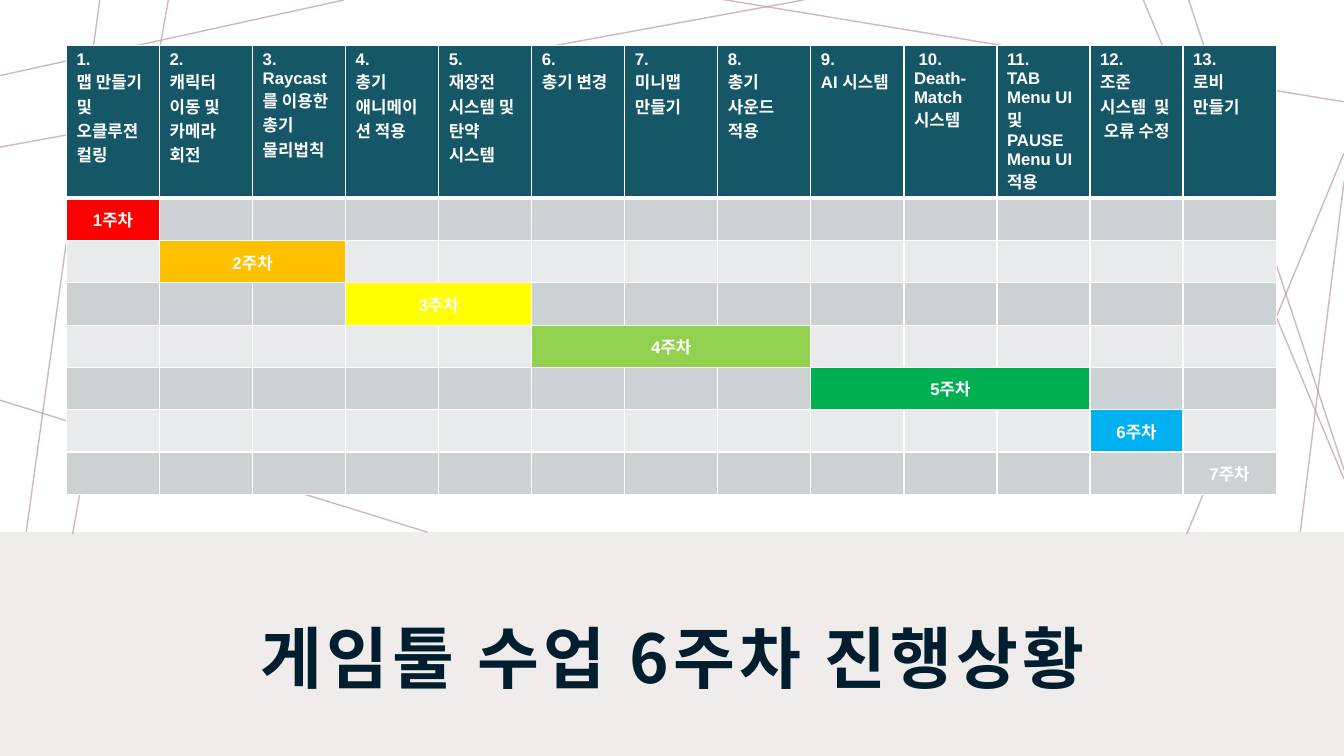
from lxml import etree
from pptx import Presentation
from pptx.dml.color import RGBColor
from pptx.enum import shapes, text
from pptx.oxml import ns
from pptx.util import Inches, Pt

COLORS = {
    "line": "BA9CA0", "band": "F0ECEC", "title": "001E2E", "white": "FFFFFF",
    "header": "155767", "odd": "CCD1D3", "even": "E8EAEB",
    "red": "FF0000", "orange": "FFC000", "yellow": "FFFF00", "lime": "92D050",
    "green": "00B050", "blue": "00B0F0",
}
LATIN_FONT = "Arial"
KOREAN_FONT = "Noto Sans CJK KR"
TITLE = "게임툴 수업 6주차 진행상황"

TASKS = [
    ["1.", "맵 만들기 및 오클루젼 컬링"],
    ["2.", "캐릭터 이동 및 카메라 회전"],
    ["3.", "Raycast를 이용한 총기 물리법칙"],
    ["4.", "총기 애니메이션 적용"],
    ["5.", "재장전 시스템 및 탄약 시스템"],
    ["6.", "총기 변경"],
    ["7.", "미니맵 만들기"],
    ["8.", "총기 사운드 적용"],
    ["9.", "AI 시스템"],
    [" 10. Death-Match 시스템"],
    ["11.", "TAB Menu UI  및  PAUSE Menu UI 적용"],
    ["12.", "조준 시스템  및  오류 수정"],
    ["13.", "로비 만들기"],
]
WEEKS = [
    (1, "red"), (2, "orange"), (2, "yellow"), (3, "lime"),
    (3, "green"), (1, "blue"), (1, "odd"),
]
LINES_BEHIND_BAND = [
    (3.41, 0, 0, 0.75), (0.99, 0, 0, 7.16), (6.83, 7.5, -0.05, 6.33),
    (13.33, 6.4, 9.26, 7.5), (13.33, 1.8, 12.62, 7.5), (13.33, 4.66, 11.79, 0),
    (13.33, 1.01, 7.14, -0.01), (7.97, 0, 0, 1.46),
]
LINES_OVER_BAND = [
    (1.67, 0, 0.72, 5.3), (0, 3.97, 4.24, 5.28),
    (13.33, 1.52, 11.77, 5.3), (13.33, 4.75, 11.34, 0),
]


def color(name):
    return RGBColor.from_string(COLORS[name])


def add_lines(slide, lines):
    for ends in lines:
        line = slide.shapes.add_connector(
            shapes.MSO_CONNECTOR.STRAIGHT, *[Inches(value) for value in ends])
        line.line.color.rgb = color("line")
        line.line.width = Pt(1)
        properties = line._element.spPr
        shade = properties.find(".//" + ns.qn("a:srgbClr"))
        etree.SubElement(shade, ns.qn("a:alpha"), val="70000")
        etree.SubElement(properties, ns.qn("a:effectLst"))


def format_text(paragraph, size, latin, color_name):
    for run in paragraph.runs:
        run.font.size = Pt(size)
        run.font.bold = True
        run.font.color.rgb = color(color_name)
        run.font.name = latin
        etree.SubElement(run._r.get_or_add_rPr(), ns.qn("a:ea"), typeface=KOREAN_FONT)


def format_cell(cell, fill, top, bottom):
    cell.fill.solid()
    cell.fill.fore_color.rgb = color(fill)
    properties = cell._tc.get_or_add_tcPr()
    borders = [("a:lnL", 1), ("a:lnR", 1), ("a:lnT", top), ("a:lnB", bottom)]
    for index, (side, width) in enumerate(borders):
        border = etree.Element(ns.qn(side), w=str(Pt(width)))
        paint = etree.SubElement(border, ns.qn("a:solidFill"))
        etree.SubElement(paint, ns.qn("a:srgbClr"), val=COLORS["white"])
        properties.insert(index, border)


def add_title_band(slide):
    band = slide.shapes.add_shape(
        shapes.MSO_SHAPE.RECTANGLE, 0, Inches(5.28), Inches(13.33), Inches(2.25))
    band.shadow.inherit = False
    band.fill.solid()
    band.fill.fore_color.rgb = color("band")
    band.line.fill.background()

    title = slide.shapes.title
    band._element.addnext(title._element)
    title.left, title.top = Inches(1.67), Inches(5.79)
    title.width, title.height = Inches(10), Inches(1.34)
    frame = title.text_frame
    frame.text = TITLE
    frame.word_wrap = True
    frame.auto_size = text.MSO_AUTO_SIZE.NONE
    frame.vertical_anchor = text.MSO_ANCHOR.MIDDLE
    frame.margin_left = frame.margin_right = frame.margin_top = Inches(0.12)
    frame.margin_bottom = Inches(0.1)
    paragraph = frame.paragraphs[0]
    paragraph.alignment = text.PP_ALIGN.CENTER
    paragraph.line_spacing = 1.1
    format_text(paragraph, 48, KOREAN_FONT, "title")
    paragraph.runs[0]._r.get_or_add_rPr().set("spc", "300")


def add_schedule(slide):
    table = slide.shapes.add_table(
        len(WEEKS) + 1, len(TASKS),
        Inches(0.66), Inches(0.45), Inches(12), Inches(4.44)).table
    for column in table.columns:
        column.width = Inches(12 / len(TASKS))
    for index, row in enumerate(table.rows):
        row.height = Inches(0.42 if index else 1.5)

    for column, task in enumerate(TASKS):
        cell = table.cell(0, column)
        format_cell(cell, "header", 1, 3)
        cell.text_frame.text = "\n".join(task)
        for paragraph in cell.text_frame.paragraphs:
            format_text(paragraph, 12, LATIN_FONT, "white")

    start = 0
    for week, (span, bar) in enumerate(WEEKS, 1):
        stripe = "odd" if week % 2 else "even"
        for column in range(len(TASKS)):
            fill = bar if start <= column < start + span else stripe
            format_cell(table.cell(week, column), fill, 3 if week == 1 else 1, 1)
        cell = table.cell(week, start)
        if span > 1:
            cell.merge(table.cell(week, start + span - 1))
        cell.text_frame.text = f"{week}주차"
        cell.vertical_anchor = text.MSO_ANCHOR.MIDDLE
        paragraph = cell.text_frame.paragraphs[0]
        paragraph.alignment = text.PP_ALIGN.CENTER
        format_text(paragraph, 12, LATIN_FONT, "white")
        start += span


def main():
    presentation = Presentation()
    presentation.slide_width = Inches(13.33)
    presentation.slide_height = Inches(7.5)
    slide = presentation.slides.add_slide(presentation.slide_layouts[5])
    add_lines(slide, LINES_BEHIND_BAND)
    add_title_band(slide)
    add_lines(slide, LINES_OVER_BAND)
    add_schedule(slide)
    presentation.save("out.pptx")


if __name__ == "__main__":
    main()
